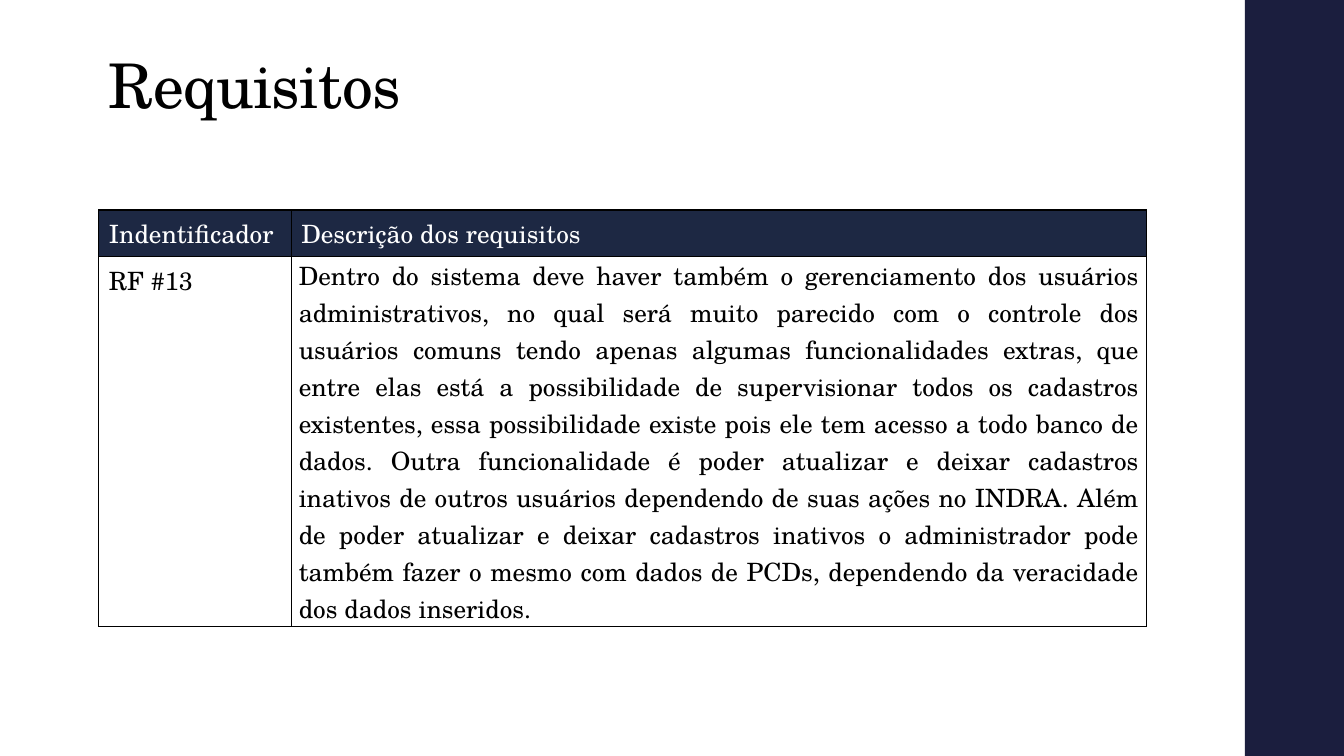
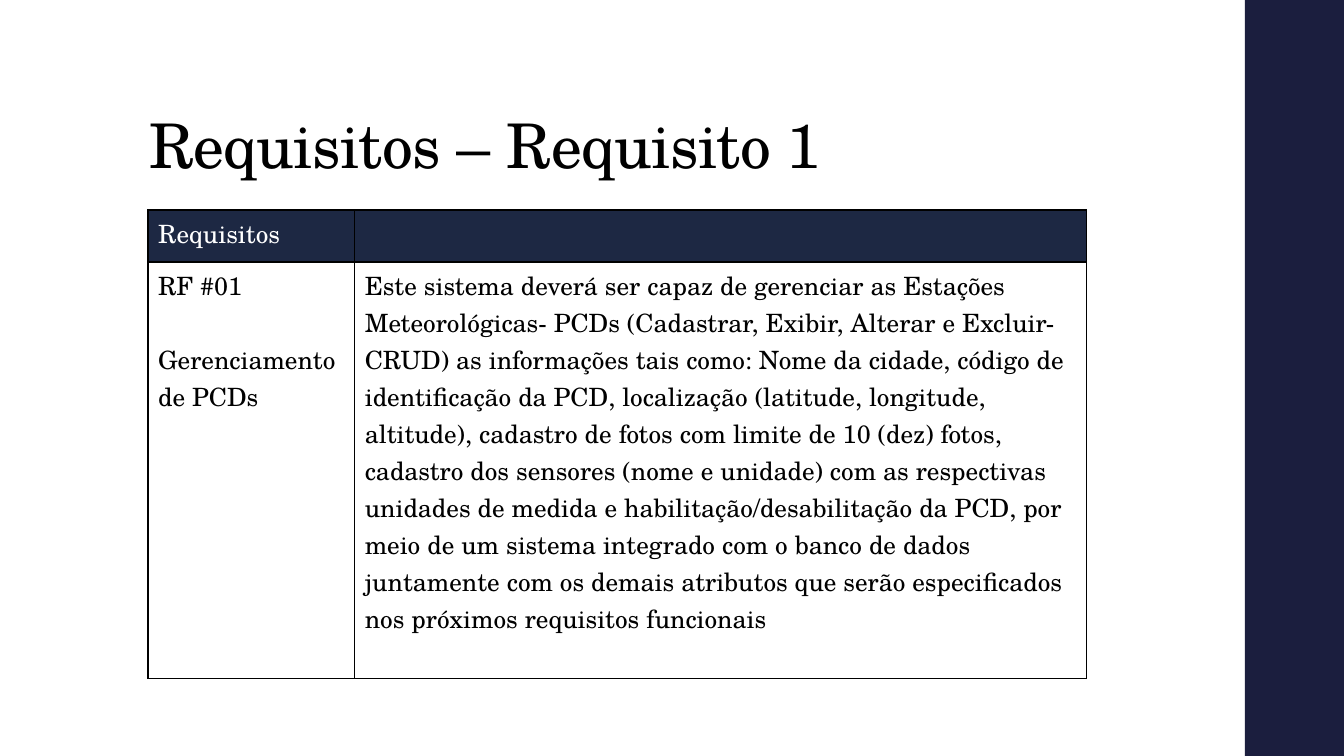
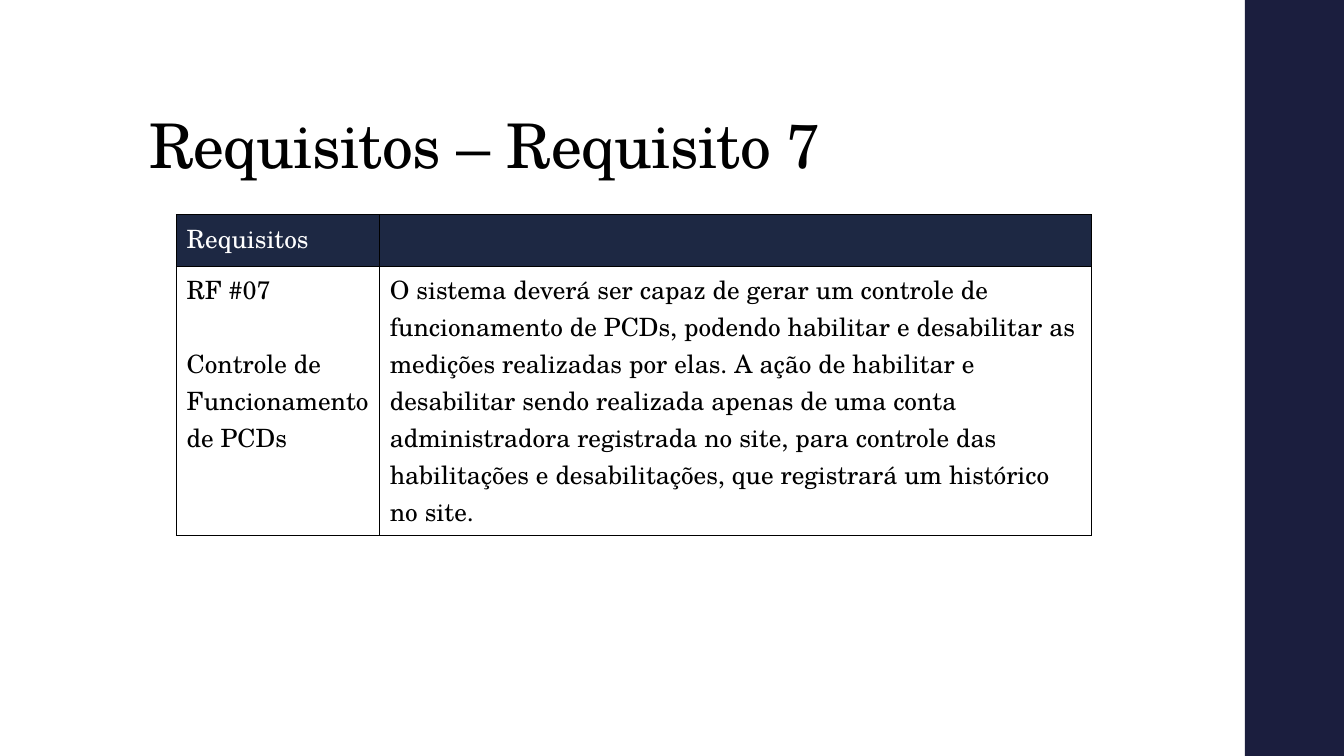
from dataclasses import dataclass

from lxml import etree
from pptx import Presentation
from pptx.dml.color import RGBColor
from pptx.enum import shapes, text
from pptx.oxml import ns
from pptx.util import Cm, Pt


@dataclass(frozen=True)
class Theme:
    font: str = "TeX Gyre Schola"
    title_size: int = 44
    body_size: int = 18
    blank_line: float = 26.4
    band: str = "1B1E3E"
    header: str = "1D2843"
    paper: str = "FFFFFF"
    ink: str = "000000"


THEME = Theme()
SLIDE_WIDTH, SLIDE_HEIGHT = 33.87, 19.05
BAND_LEFT = 31.37
TITLE_TOP, TITLE_WIDTH = 1.02, 26.92

# Lengths in cm; each table cell is a list of paragraphs.
REQUIREMENTS = [
    dict(
        title="Requisitos", title_left=2.49, title_height=2.18,
        table_at=(2.49, 5.29), columns=(4.85, 21.55), rows=(1.18, 9.32),
        cells=[
            [["Indentificador"], ["Descrição dos requisitos"]],
            [["RF #13"], [
                "Dentro do sistema deve haver também o gerenciamento dos usuários "
                "administrativos, no qual será muito parecido com o controle dos "
                "usuários comuns tendo apenas algumas funcionalidades extras, que "
                "entre elas está a possibilidade de supervisionar todos os cadastros "
                "existentes, essa possibilidade existe pois ele tem acesso a todo "
                "banco de dados. Outra funcionalidade é poder atualizar e deixar "
                "cadastros inativos de outros usuários dependendo de suas ações no "
                "INDRA. Além de poder atualizar e deixar cadastros inativos o "
                "administrador pode também fazer o mesmo com dados de PCDs, "
                "dependendo da veracidade dos dados inseridos."]],
        ],
        justified=True,
    ),
    dict(
        title="Requisitos – Requisito 1", title_left=3.51, title_height=3.68,
        table_at=(3.73, 5.29), columns=(5.21, 18.44), rows=(1.31, 10.5),
        cells=[
            [["Requisitos"], []],
            [["RF #01", "Gerenciamento de PCDs"], [
                "Este sistema deverá ser capaz de gerenciar as Estações "
                "Meteorológicas- PCDs (Cadastrar, Exibir, Alterar e Excluir- CRUD) "
                "as informações tais como: Nome da cidade, código de identificação "
                "da PCD, localização (latitude, longitude, altitude), cadastro de "
                "fotos com limite de 10 (dez) fotos, cadastro dos sensores (nome e "
                "unidade) com as respectivas unidades de medida e "
                "habilitação/desabilitação da PCD, por meio de um sistema integrado "
                "com o banco de dados juntamente com os demais atributos que serão "
                "especificados nos próximos requisitos funcionais"]],
        ],
        justified=False,
    ),
    dict(
        title="Requisitos – Requisito 7", title_left=3.51, title_height=3.68,
        table_at=(4.45, 5.41), columns=(5.12, 17.93), rows=(1.3, 6.78),
        cells=[
            [["Requisitos"], []],
            [["RF #07", "Controle de Funcionamento de PCDs"], [
                "O sistema deverá ser capaz de gerar um controle de funcionamento "
                "de PCDs, podendo habilitar e desabilitar as medições realizadas "
                "por elas. A ação de habilitar e desabilitar sendo realizada apenas "
                "de uma conta administradora registrada no site, para controle das "
                "habilitações e desabilitações, que registrará um histórico no "
                "site."]],
        ],
        justified=False,
    ),
]


def add_run(paragraph, words, size, color):
    run = paragraph.add_run()
    run.text = words
    run.font.name = THEME.font
    run.font.size = Pt(size)
    run.font.color.rgb = RGBColor.from_string(color)
    return run


def add_borders(cell):
    properties = cell._tc.get_or_add_tcPr()
    for side in ("a:lnL", "a:lnR", "a:lnT", "a:lnB"):
        line = etree.SubElement(properties, ns.qn(side), w=str(Pt(1)))
        fill = etree.SubElement(line, ns.qn("a:solidFill"))
        etree.SubElement(fill, ns.qn("a:srgbClr"), val=THEME.ink)


deck = Presentation()
deck.slide_width, deck.slide_height = Cm(SLIDE_WIDTH), Cm(SLIDE_HEIGHT)

for requirement in REQUIREMENTS:
    slide = deck.slides.add_slide(deck.slide_layouts[6])

    band = slide.shapes.add_shape(
        shapes.MSO_SHAPE.RECTANGLE, Cm(BAND_LEFT), 0,
        Cm(SLIDE_WIDTH - BAND_LEFT), Cm(SLIDE_HEIGHT))
    band.shadow.inherit = False
    band.fill.solid()
    band.fill.fore_color.rgb = RGBColor.from_string(THEME.band)
    band.line.fill.background()

    title = slide.shapes.add_textbox(
        Cm(requirement["title_left"]), Cm(TITLE_TOP),
        Cm(TITLE_WIDTH), Cm(requirement["title_height"])).text_frame
    title.word_wrap = True
    title.vertical_anchor = text.MSO_ANCHOR.BOTTOM
    heading = title.paragraphs[0]
    heading.line_spacing = 0.9
    heading_run = add_run(heading, requirement["title"], THEME.title_size, THEME.ink)
    heading_run.font._element.set("spc", "-50")

    columns, rows = requirement["columns"], requirement["rows"]
    left, top = requirement["table_at"]
    table = slide.shapes.add_table(
        len(rows), len(columns), Cm(left), Cm(top),
        Cm(sum(columns)), Cm(sum(rows))).table
    table.first_row = table.horz_banding = False
    for column, width in zip(table.columns, columns):
        column.width = Cm(width)

    for row_index, row_cells in enumerate(requirement["cells"]):
        table.rows[row_index].height = Cm(rows[row_index])
        is_header = row_index == 0
        for column_index, paragraphs in enumerate(row_cells):
            cell = table.cell(row_index, column_index)
            add_borders(cell)
            cell.fill.solid()
            cell.fill.fore_color.rgb = RGBColor.from_string(
                THEME.header if is_header else THEME.paper)
            for index, words in enumerate(paragraphs):
                if index == 0:
                    paragraph = cell.text_frame.paragraphs[0]
                else:
                    paragraph = cell.text_frame.add_paragraph()
                    paragraph.space_before = Pt(THEME.blank_line)
                add_run(paragraph, words, THEME.body_size,
                        THEME.paper if is_header else THEME.ink)

    if requirement["justified"]:
        description = table.cell(1, 1)
        description.margin_left = description.margin_right = Cm(0.19)
        description.margin_top = description.margin_bottom = 0
        description.text_frame.paragraphs[0].alignment = text.PP_ALIGN.JUSTIFY

deck.save("out.pptx")
